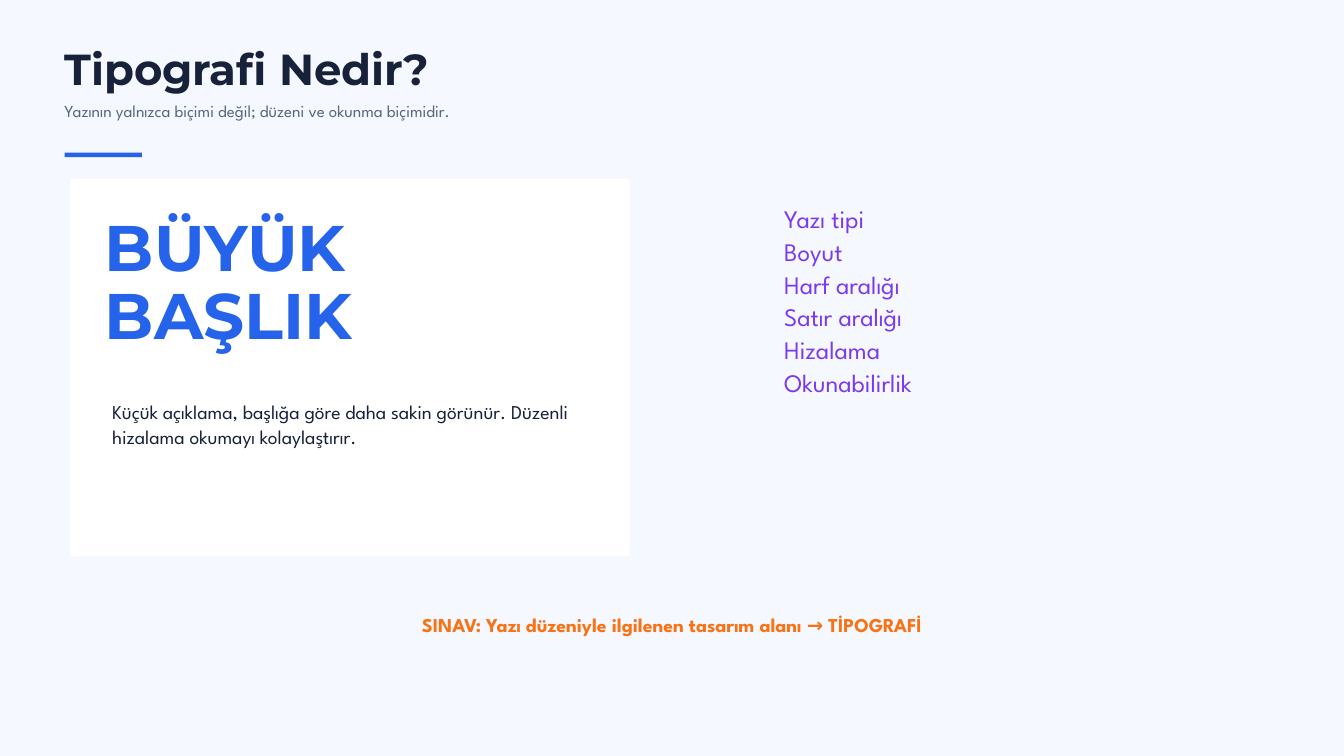
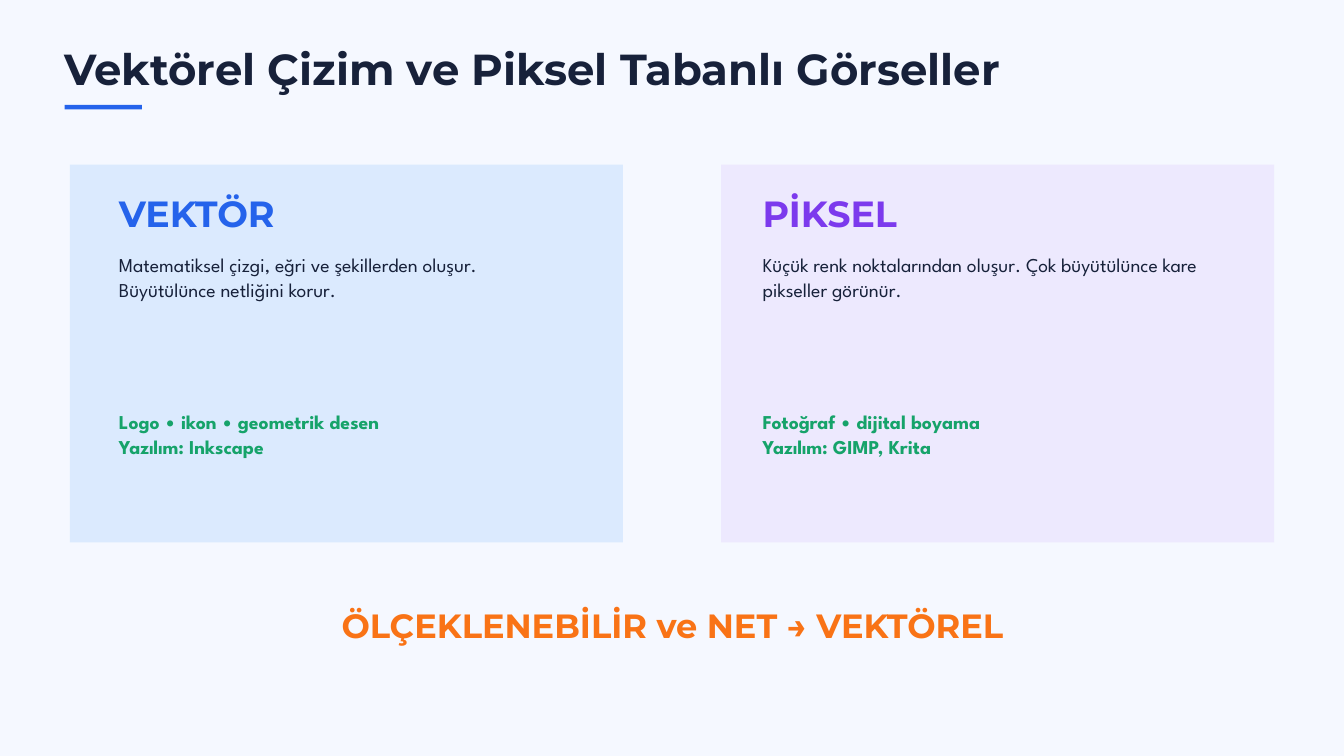
from pptx import Presentation
from pptx import util as u
from pptx.dml.color import RGBColor
from pptx.enum import shapes, text

PAPER = RGBColor(0xF5, 0xF8, 0xFF)
WHITE = RGBColor(0xFF, 0xFF, 0xFF)
NAVY = RGBColor(0x17, 0x21, 0x3A)
SLATE = RGBColor(0x58, 0x65, 0x7D)
BLUE = RGBColor(0x25, 0x63, 0xEB)
PALE_BLUE = RGBColor(0xDB, 0xEA, 0xFE)
PURPLE = RGBColor(0x7C, 0x3A, 0xED)
PALE_PURPLE = RGBColor(0xED, 0xE9, 0xFE)
GREEN = RGBColor(0x16, 0xA3, 0x6A)
ORANGE = RGBColor(0xF9, 0x73, 0x16)

HEADING = "Montserrat"
BODY = "League Spartan"
LEADING = {HEADING: 1.05, BODY: 1.3}
MARGIN = 0.96
CARD_LEFT = 1.04
CARD_HEIGHT = 5.62


def add_text(slide, box, lines, size, color, font=BODY, bold=False,
             centered=False, leading=None):
    """Add a margin-free text box with one paragraph per line."""
    frame = slide.shapes.add_textbox(*map(u.Inches, box)).text_frame
    frame.margin_left = frame.margin_top = 0
    frame.margin_right = frame.margin_bottom = 0
    frame.word_wrap = True
    frame.auto_size = text.MSO_AUTO_SIZE.SHAPE_TO_FIT_TEXT
    frame.text = "\n".join(lines)
    for paragraph in frame.paragraphs:
        paragraph.line_spacing = u.Pt(round(size * (leading or LEADING[font]), 1))
        paragraph.alignment = text.PP_ALIGN.CENTER if centered else text.PP_ALIGN.LEFT
        for run in paragraph.runs:
            run.font.name = font
            run.font.size = u.Pt(size)
            run.font.bold = bold
            run.font.color.rgb = color


def add_panel(slide, box, color):
    """Add a plain filled rectangle without an outline."""
    panel = slide.shapes.add_shape(shapes.MSO_SHAPE.RECTANGLE, *map(u.Inches, box))
    panel.shadow.inherit = False
    panel.fill.solid()
    panel.fill.fore_color.rgb = color
    panel.line.fill.background()


def add_titled_slide(deck, title, rule_top):
    """Add a blank slide with the shared background, title and accent rule."""
    slide = deck.slides.add_slide(deck.slide_layouts[6])
    slide.background.fill.solid()
    slide.background.fill.fore_color.rgb = PAPER
    add_text(slide, (MARGIN, 0.73, 15.62, 0.69), [title], 46.5, NAVY, HEADING, True)
    add_panel(slide, (MARGIN, rule_top, 1.15, 0.07), BLUE)
    return slide


def add_comparison_card(slide, card_left, text_left, fill, accent, name, summary, uses):
    """Add a coloured card with a name, a summary and its typical uses."""
    add_panel(slide, (card_left, 2.45, 8.23, CARD_HEIGHT), fill)
    add_text(slide, (text_left, 2.93, 6.77, 0.58), [name], 39, accent, HEADING, True)
    add_text(slide, (text_left, 3.73, 6.77, 0.74), [summary], 21, NAVY)
    add_text(slide, (text_left, 6.07, 6.77, 0.74), uses, 21, GREEN, bold=True)


def build_typography(deck):
    """Build the slide that explains typography."""
    slide = add_titled_slide(deck, "Tipografi Nedir?", 2.27)
    add_text(slide, (MARGIN, 1.48, 16.04, 0.3),
             ["Yazının yalnızca biçimi değil; düzeni ve okunma biçimidir."],
             18, SLATE, leading=1.25)
    add_panel(slide, (CARD_LEFT, 2.66, 8.33, CARD_HEIGHT), WHITE)
    add_text(slide, (1.56, 3.23, 7.29, 2.04), ["BÜYÜK", "BAŞLIK"], 69, BLUE, HEADING, True)
    add_text(slide, (1.67, 5.92, 6.98, 0.74),
             ["Küçük açıklama, başlığa göre daha sakin görünür. "
              "Düzenli hizalama okumayı kolaylaştırır."], 21, NAVY)
    elements = ["Yazı tipi", "Boyut", "Harf aralığı", "Satır aralığı",
                "Hizalama", "Okunabilirlik"]
    add_text(slide, (11.67, 2.99, 5.83, 2.87), elements, 27, PURPLE)
    add_text(slide, (2.71, 9.09, 14.58, 0.37),
             ["SINAV: Yazı düzeniyle ilgilenen tasarım alanı → TİPOGRAFİ"],
             21, ORANGE, bold=True, centered=True)


def build_vector_and_pixel(deck):
    """Build the slide that compares vector and pixel images."""
    slide = add_titled_slide(deck, "Vektörel Çizim ve Piksel Tabanlı Görseller", 1.56)
    add_comparison_card(
        slide, CARD_LEFT, 1.77, PALE_BLUE, BLUE, "VEKTÖR",
        "Matematiksel çizgi, eğri ve şekillerden oluşur. Büyütülünce netliğini korur.",
        ["Logo • ikon • geometrik desen", "Yazılım: Inkscape"])
    add_comparison_card(
        slide, 10.73, 11.35, PALE_PURPLE, PURPLE, "PİKSEL",
        "Küçük renk noktalarından oluşur. Çok büyütülünce kare pikseller görünür.",
        ["Fotoğraf • dijital boyama", "Yazılım: GIMP, Krita"])
    add_text(slide, (4.38, 9.07, 11.25, 0.53), ["ÖLÇEKLENEBİLİR ve NET → VEKTÖREL"],
             36, ORANGE, HEADING, True, centered=True)


def main():
    """Build and save the deck."""
    deck = Presentation()
    deck.slide_width = u.Inches(20)
    deck.slide_height = u.Inches(11.25)
    build_typography(deck)
    build_vector_and_pixel(deck)
    deck.save("out.pptx")


if __name__ == "__main__":
    main()
